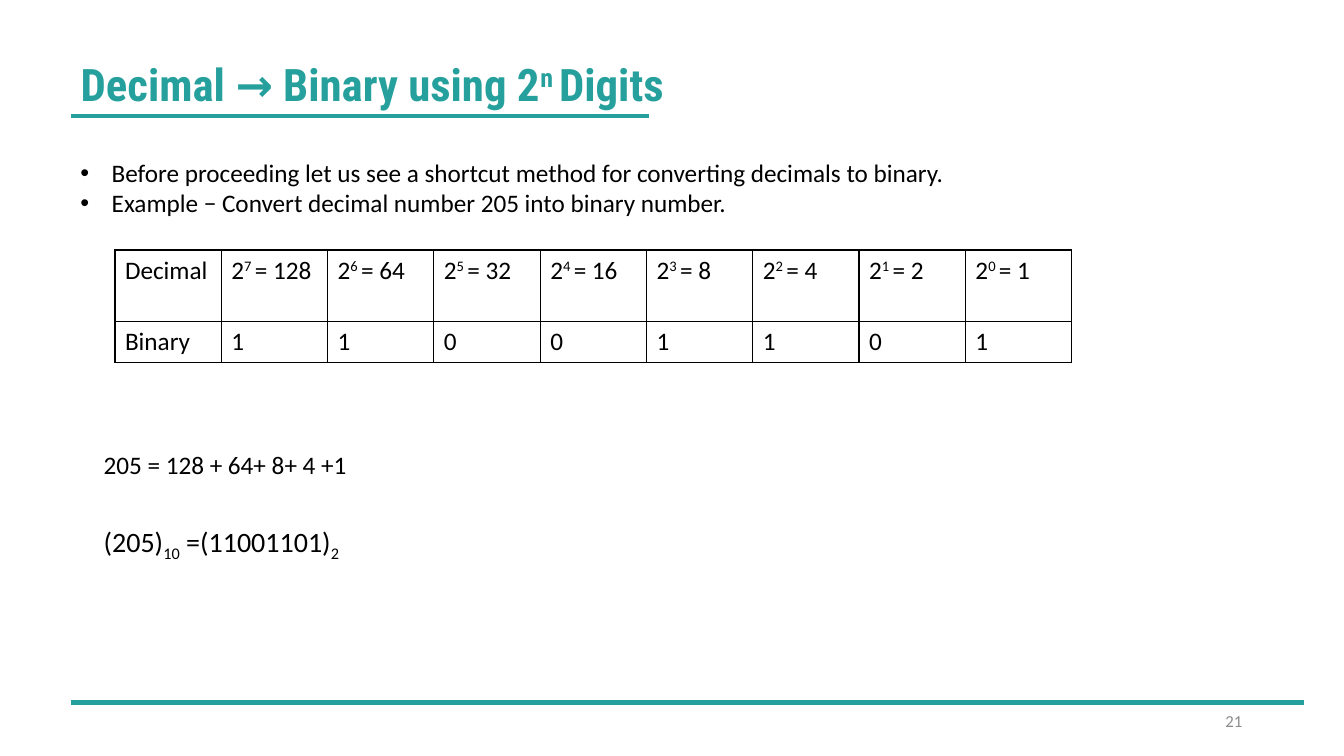
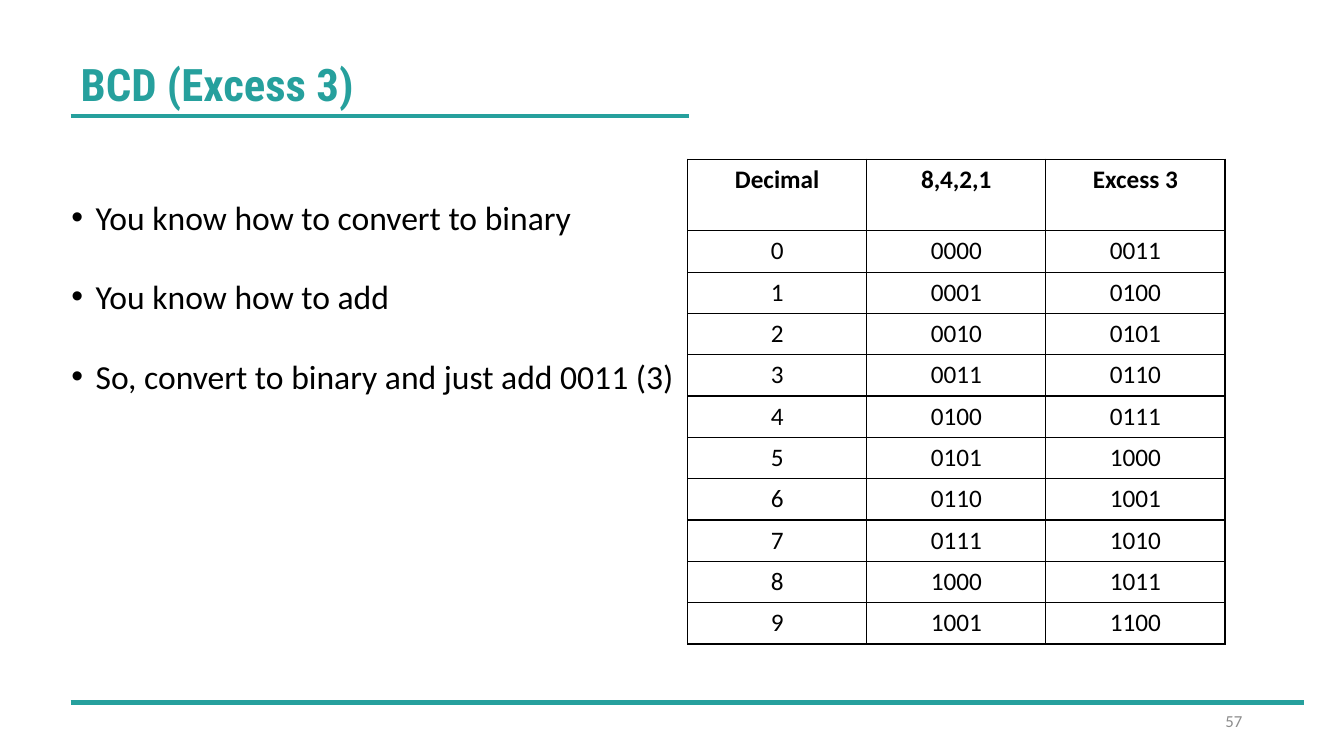
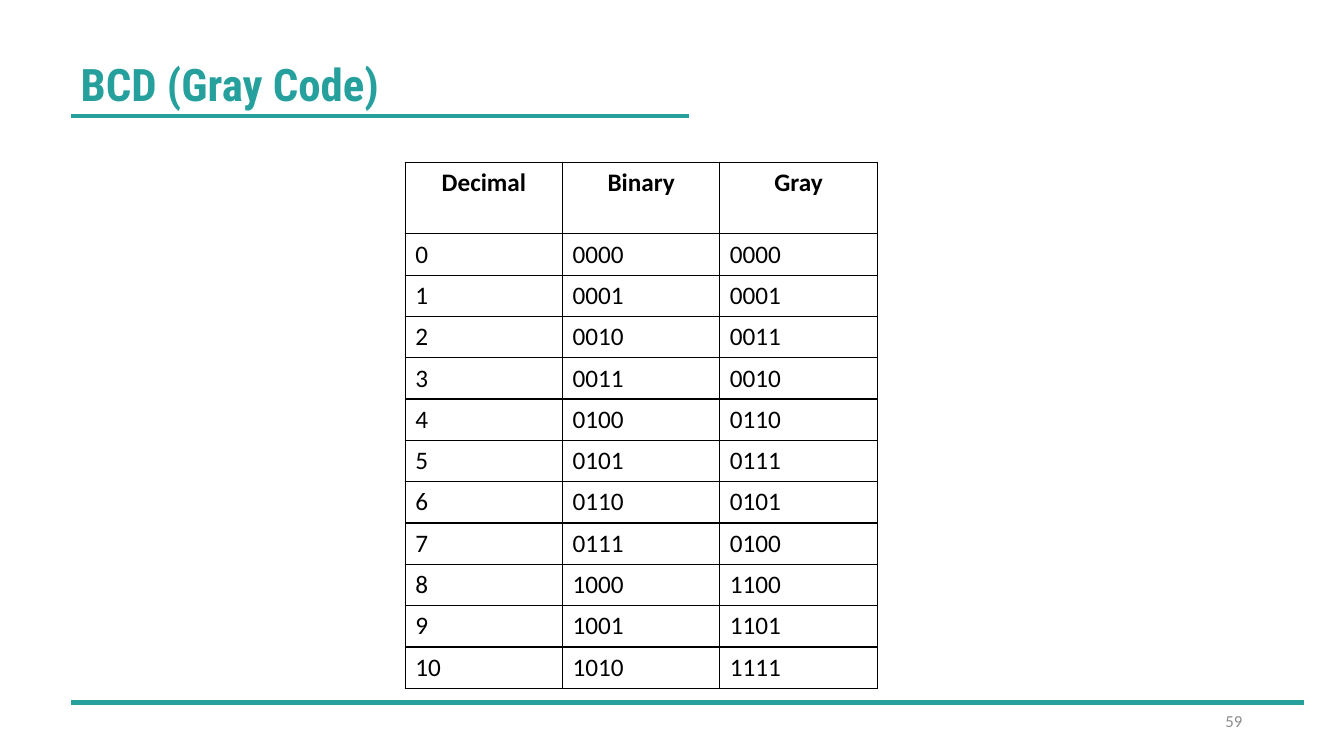
import pptx
import pptx.dml.color
import pptx.enum.shapes
import pptx.enum.text
import pptx.oxml
import pptx.oxml.ns
import pptx.util

Inches = pptx.util.Inches
Pt = pptx.util.Pt
ALIGN = pptx.enum.text.PP_ALIGN
ANCHOR = pptx.enum.text.MSO_ANCHOR
NAMESPACE = pptx.oxml.ns.nsdecls("a")


def color(value):
    return pptx.dml.color.RGBColor.from_string(value)


class Lesson:
    TEAL = "26A09D"
    BLACK = "000000"
    GRAY = "8C8C8C"
    WHITE = "FFFFFF"
    HEADING_FONT = "Roboto Condensed"
    BODY_FONT = "Calibri"
    LEFT = 0.7
    HEADER_HEIGHT = 0.71
    ROW_HEIGHT = 0.41
    SUPERSCRIPT = 30000
    SUBSCRIPT = -25000

    def __init__(self):
        self.deck = pptx.Presentation()
        self.deck.slide_width = Inches(13.33)
        self.deck.slide_height = Inches(7.5)
        self.page = None

    def add_spans(self, para, pieces, size, ink=BLACK, font=BODY_FONT, bold=False,
                  align=ALIGN.LEFT, shift=SUPERSCRIPT):
        """Set the pieces as runs; every second piece is raised or lowered."""
        para.alignment = align
        for index, piece in enumerate([pieces] if isinstance(pieces, str) else pieces):
            span = para.add_run()
            span.text = piece
            span.font.size = Pt(size)
            span.font.name = font
            span.font.bold = bold
            span.font.color.rgb = color(ink)
            if index % 2:
                span.font._element.set("baseline", str(shift))

    def start(self, title, number, rule_end=6.83):
        self.page = self.deck.slides.add_slide(self.deck.slide_layouts[5])
        self.page.background.fill.solid()
        self.page.background.fill.fore_color.rgb = color(self.WHITE)
        box = self.page.shapes.title
        box.left, box.top = Inches(self.LEFT), Inches(0.51)
        box.width, box.height = Inches(7.53), Inches(0.64)
        frame = box.text_frame
        frame.word_wrap = True
        frame.auto_size = pptx.enum.text.MSO_AUTO_SIZE.NONE
        frame.vertical_anchor = ANCHOR.TOP
        self.add_spans(frame.paragraphs[0], title, 32, self.TEAL, self.HEADING_FONT, True)
        self.rule(1.15, rule_end)
        self.rule(6.97, 12.93)
        self.text(9.42, 6.95, 3, 0.4, [str(number)], 12, anchor=ANCHOR.MIDDLE,
                  ink=self.GRAY, align=ALIGN.RIGHT)

    def rule(self, top, end):
        line = self.page.shapes.add_connector(
            pptx.enum.shapes.MSO_CONNECTOR.STRAIGHT,
            Inches(self.LEFT), Inches(top), Inches(end), Inches(top))
        line.line.color.rgb = color(self.TEAL)
        line.line.width = Pt(3)
        line._element.spPr.append(pptx.oxml.parse_xml(f"<a:effectLst {NAMESPACE}/>"))

    def text(self, left, top, width, height, lines, size, anchor=ANCHOR.TOP,
             indent=None, gap=0, **style):
        box = self.page.shapes.add_textbox(
            Inches(left), Inches(top), Inches(width), Inches(height))
        frame = box.text_frame
        frame.word_wrap = True
        frame.vertical_anchor = anchor
        for index, pieces in enumerate(lines):
            para = frame.add_paragraph() if index else frame.paragraphs[0]
            self.add_spans(para, pieces, size, **style)
            if index:
                para.space_before = Pt(gap)
            if indent:
                self.bullet(para, indent)

    def bullet(self, para, indent):
        properties = para._p.get_or_add_pPr()
        properties.set("marL", str(Inches(indent)))
        properties.set("indent", str(-Inches(indent)))
        for mark in ('buFont typeface="Arial"', 'buChar char="•"'):
            properties.append(pptx.oxml.parse_xml(
                f"<a:{mark} {NAMESPACE}/>"))

    def table(self, left, top, width, rows, header_bold=True,
              header_align=ALIGN.CENTER, align=ALIGN.LEFT, anchor=ANCHOR.TOP):
        columns = len(rows[0])
        height = self.HEADER_HEIGHT + self.ROW_HEIGHT * (len(rows) - 1)
        grid = self.page.shapes.add_table(
            len(rows), columns, Inches(left), Inches(top),
            Inches(width), Inches(height)).table
        grid.first_row = grid.horz_banding = False
        for column in grid.columns:
            column.width = Inches(width / columns)
        for index, values in enumerate(rows):
            header = index == 0
            grid.rows[index].height = Inches(
                self.HEADER_HEIGHT if header else self.ROW_HEIGHT)
            for cell, pieces in zip(grid.rows[index].cells, values):
                self.add_spans(cell.text_frame.paragraphs[0], pieces, 18,
                               bold=header and header_bold,
                               align=header_align if header else align)
                cell.vertical_anchor = ANCHOR.TOP if header else anchor
                self.border(cell)
                cell.fill.background()

    def border(self, cell):
        properties = cell._tc.get_or_add_tcPr()
        for side in "LRTB":
            properties.append(pptx.oxml.parse_xml(
                f'<a:ln{side} {NAMESPACE} w="{Pt(1)}"><a:solidFill>'
                f'<a:srgbClr val="{self.BLACK}"/></a:solidFill></a:ln{side}>'))


def bits(number):
    return format(number, "04b")


def main():
    lesson = Lesson()

    lesson.start(("Decimal → Binary using 2", "n ", "Digits"), 21, rule_end=6.44)
    lesson.text(0.7, 1.51, 8.9, 0.71, [
        "Before proceeding let us see a shortcut method for converting decimals to binary.",
        "Example − Convert decimal number 205 into binary number.",
    ], 18, indent=0.31)
    powers = [("2", f"{power} ", f"= {2 ** power}") for power in range(7, -1, -1)]
    lesson.table(1.14, 2.48, 9.49, [["Decimal", *powers], ["Binary", *bits(205)]],
                 header_bold=False, header_align=ALIGN.LEFT)
    lesson.text(0.93, 4.41, 6.67, 0.4, ["205 = 128 + 64+ 8+ 4 +1"], 18)
    lesson.text(0.93, 5.15, 2.84, 0.44, [("(205)", "10", " =(11001101)", "2")], 20,
                shift=lesson.SUBSCRIPT)

    lesson.start("BCD (Excess 3)", 57)
    excess = [(str(digit), bits(digit), bits(digit + 3)) for digit in range(10)]
    lesson.table(6.82, 1.58, 5.33, [("Decimal", "8,4,2,1", "Excess 3"), *excess],
                 align=ALIGN.CENTER)
    lesson.text(0.61, 1.9, 6.67, 2.12, [
        "You know how to convert to binary",
        "You know how to add",
        "So, convert to binary and just add 0011 (3)",
    ], 24, indent=0.24, gap=28)

    lesson.start("BCD (Gray Code)", 59)
    gray = [(str(number), bits(number), bits(number ^ number >> 1)) for number in range(11)]
    lesson.table(4.02, 1.61, 4.68, [("Decimal", "Binary", "Gray"), *gray],
                 anchor=ANCHOR.MIDDLE)

    lesson.deck.save("out.pptx")


if __name__ == "__main__":
    main()
